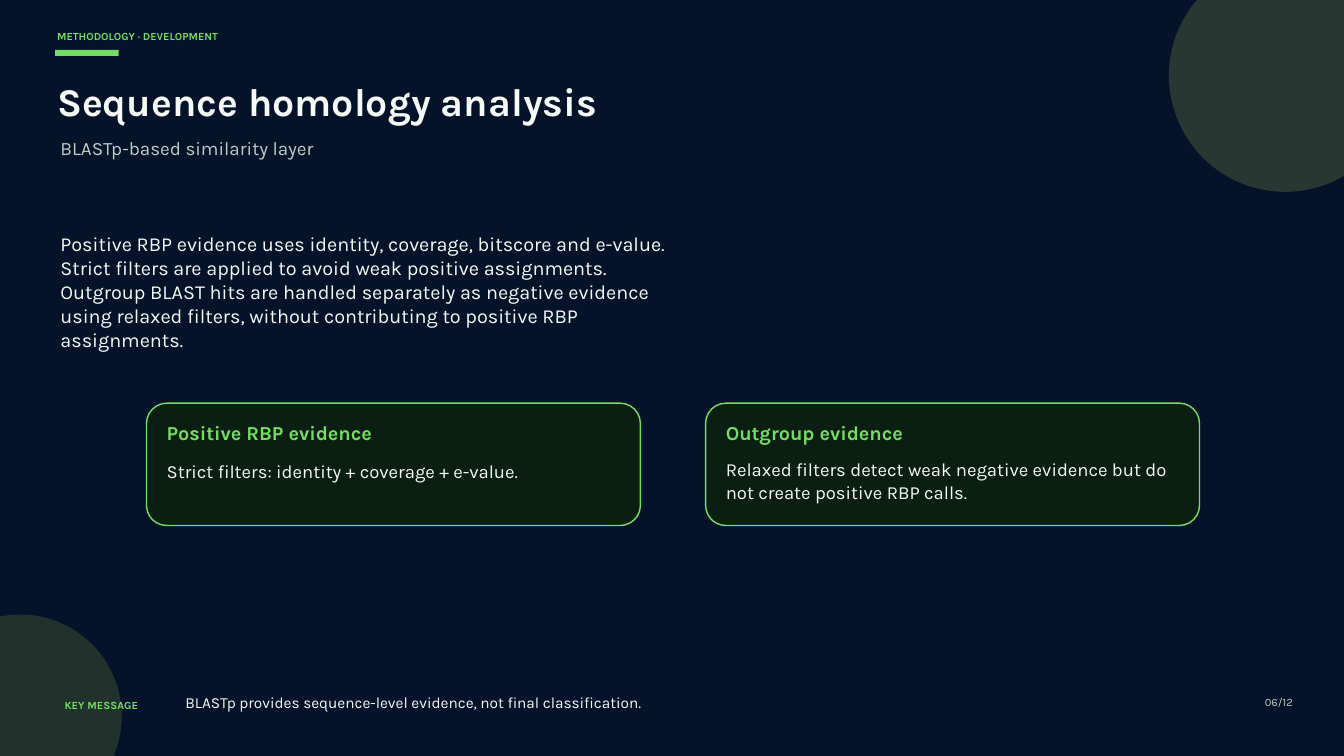
import pptx
import pptx.util
import pptx.dml.color
import pptx.enum.shapes
import pptx.enum.text

Pt = pptx.util.Pt
SHAPES = pptx.enum.shapes.MSO_SHAPE
ALIGN = pptx.enum.text.PP_ALIGN

FONT = "Karla"
NAVY, GREEN, WHITE, GREY, CARD = "05132A", "74DE62", "F6FAF7", "BECDC3", "0A1E12"

# Content: lengths in points
TITLE = "Sequence homology analysis"
CIRCLES = [  # left, top, diameter, colour
    (1252.44, -43.56, 249.12, "283732"),
    (-86.76, 658.44, 217.2, "21322D"),
]
# left, top, width, height, paragraphs, size, line spacing, colour, bold, alignment
LABELS = [
    (61.2, 31.68, 481.68, 18.72, ["METHODOLOGY · DEVELOPMENT"],
     11.6, 13.9, GREEN, True, ALIGN.LEFT),
    (64.8, 146.16, 1205.28, 38.16, ["BLASTp-based similarity layer"],
     20.2, 24.3, GREY, False, ALIGN.LEFT),
    (64.8, 248.4, 655.2, 102.24, [
        "Positive RBP evidence uses identity, coverage, bitscore and e-value.",
        "Strict filters are applied to avoid weak positive assignments.",
        "Outgroup BLAST hits are handled separately as negative evidence using "
        "relaxed filters, without contributing to positive RBP assignments.",
    ], 21.3, 25.6, WHITE, False, ALIGN.LEFT),
    (69.12, 748.08, 152.64, 17.28, ["KEY MESSAGE"],
     11.7, 14, GREEN, True, ALIGN.LEFT),
    (198.72, 742.32, 1151.28, 29.52,
     ["BLASTp provides sequence-level evidence, not final classification."],
     16.5, 19.8, WHITE, False, ALIGN.LEFT),
    (1314, 744.48, 71.28, 16.56, ["06/12"], 12, 14.4, GREY, False, ALIGN.RIGHT),
]
CARDS = [  # heading, text, offset of the text from the card top
    ("Positive RBP evidence", "Strict filters: identity + coverage + e-value.", 60.48),
    ("Outgroup evidence", "Relaxed filters detect weak negative evidence but do not "
     "create positive RBP calls.", 59.04),
]
CARD_LEFT, CARD_TOP, CARD_WIDTH, CARD_HEIGHT = 156.96, 432, 529.2, 131.04
CARD_STEP, CARD_PADDING, CARD_RADIUS = 599.04, 21.6, 21.6


def rgb(colour):
    return pptx.dml.color.RGBColor.from_string(colour)


def add_shape(slide, kind, left, top, width, height, fill, line=None):
    shape = slide.shapes.add_shape(kind, Pt(left), Pt(top), Pt(width), Pt(height))
    shape.shadow.inherit = False
    shape.fill.solid()
    shape.fill.fore_color.rgb = rgb(fill)
    if line:
        shape.line.color.rgb = rgb(line)
        shape.line.width = Pt(1.5)
    else:
        shape.line.fill.background()
    return shape


def write(box, paragraphs, size, spacing, colour, bold=False, align=ALIGN.LEFT):
    frame = box.text_frame
    frame.word_wrap = True
    frame.auto_size = pptx.enum.text.MSO_AUTO_SIZE.NONE
    frame.vertical_anchor = pptx.enum.text.MSO_ANCHOR.TOP
    frame.margin_left = frame.margin_top = frame.margin_right = frame.margin_bottom = 0
    for index, text in enumerate(paragraphs):
        para = frame.add_paragraph() if index else frame.paragraphs[0]
        para.alignment = align
        para.line_spacing = Pt(spacing)
        para.space_before = Pt(0)
        span = para.add_run()
        span.text = text
        span.font.name = FONT
        span.font.size = Pt(size)
        span.font.bold = bold
        span.font.color.rgb = rgb(colour)


def add_text(slide, left, top, width, height, *style):
    box = slide.shapes.add_textbox(Pt(left), Pt(top), Pt(width), Pt(height))
    write(box, *style)


def main():
    deck = pptx.Presentation()
    deck.slide_width, deck.slide_height = Pt(1440), Pt(810)
    slide = deck.slides.add_slide(deck.slide_layouts[5])
    slide.background.fill.solid()
    slide.background.fill.fore_color.rgb = rgb(NAVY)

    # Title
    title = slide.shapes.title
    title.left, title.top, title.width, title.height = Pt(61.2), Pt(82.8), Pt(1162.08), Pt(50.4)
    write(title, [TITLE], 42, 50.4, WHITE, True)

    # Corner circles and accent bar
    for left, top, diameter, colour in CIRCLES:
        add_shape(slide, SHAPES.OVAL, left, top, diameter, diameter, colour)
    add_shape(slide, SHAPES.RECTANGLE, 59.04, 53.5, 68, 6.5, GREEN)

    # Header, body and footer texts
    for label in LABELS:
        add_text(slide, *label)

    # Evidence cards
    for index, (heading, text, offset) in enumerate(CARDS):
        left = CARD_LEFT + index * CARD_STEP
        card = add_shape(slide, SHAPES.ROUNDED_RECTANGLE, left, CARD_TOP,
                         CARD_WIDTH, CARD_HEIGHT, CARD, GREEN)
        card.adjustments[0] = CARD_RADIUS / CARD_HEIGHT
        inner_left, inner_width = left + CARD_PADDING, CARD_WIDTH - 2 * CARD_PADDING
        add_text(slide, inner_left, CARD_TOP + 18.72, inner_width, 25.2,
                 [heading], 21.3, 25.6, GREEN, True)
        add_text(slide, inner_left, CARD_TOP + offset, inner_width, 46.8,
                 [text], 19.8, 23.8, WHITE)

    deck.save("out.pptx")


if __name__ == "__main__":
    main()
